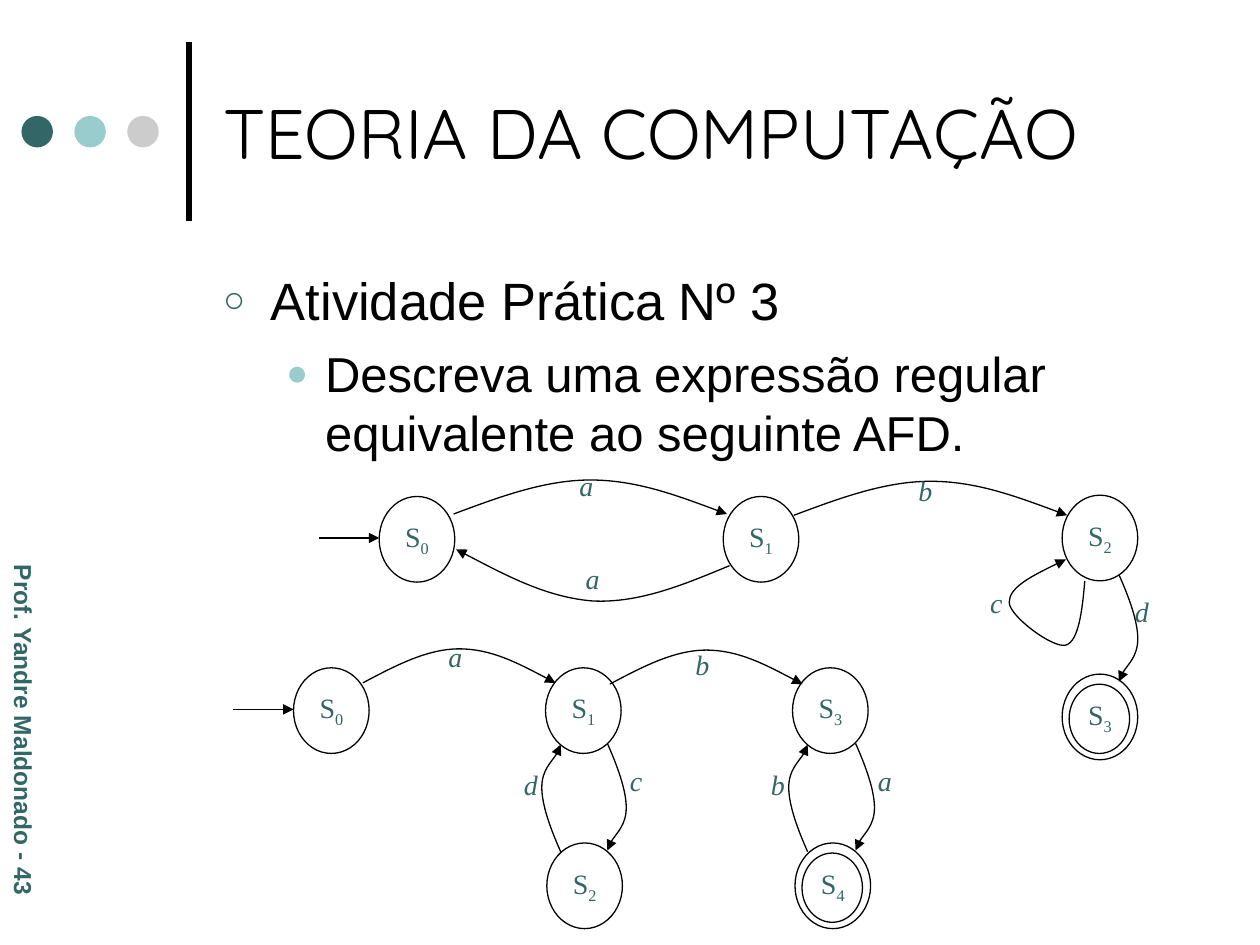
from lxml.etree import SubElement as Sub
from pptx import Presentation
from pptx.dml.color import RGBColor as Rgb
from pptx.enum.shapes import MSO_CONNECTOR as Conn, MSO_SHAPE as Kind
from pptx.enum.text import MSO_ANCHOR as Anchor, MSO_AUTO_SIZE as Auto, PP_ALIGN as Align
from pptx.oxml.ns import qn
from pptx.util import Emu, Inches, Pt

WIDE, HIGH = Inches(10), Inches(7.5)
COLS = 100
INK, TEAL, AQUA, GRAY, WHITE = "000000", "336666", "99CCCC", "CCCCCC", "FFFFFF"
SERIF = "Times New Roman"
NODE_W, NODE_H = 6, 6.8
DROP = [(0, 0), (0.8, 1.8), (1.5, 3.7), (1.5, 5.1), (1.5, 6.5), (0, 7.9), (0, 8.5)]
LOOP = [(86.1, 46.1), (85.9, 48.5), (85.6, 50.9), (84.6, 51.2), (83.6, 51.5),
        (80.1, 48.9), (80.1, 47.8), (80.1, 46.6), (82.3, 45.5), (84.6, 44.4)]
BACK = [(57.9, 44.9), (54.3, 46.4), (50.7, 47.9), (47, 47.7),
        (43.4, 47.4), (39.8, 45.5), (36.2, 43.6)]
DOTS = [TEAL, AQUA, GRAY]
NODES = [("0", 30.1, 39.4), ("1", 57.4, 39.4), ("2", 84.3, 39.3), ("3", 84.3, 53.5),
         ("0", 23.3, 53), ("1", 43.3, 53), ("3", 62.9, 53), ("2", 43.4, 66.9), ("4", 63.1, 66.9)]
FINALS = [(84.3, 53.5), (63.1, 66.9)]
STARTS = [(25.3, 42.7), (18.5, 56.3)]
ARCS = [(36, 40.8, 21.7), (63, 40.9, 21.7), (28.8, 54.2, 15.3), (48.4, 54.3, 15.3)]
DOWNS = [(88.8, 45.6), (67.9, 59), (48.2, 59)]
UPS = [(44.5, 67.6), (64.1, 67.6)]
LABELS = [("b", 71.9, 37.1), ("a", 45.5, 44.1), ("a", 45, 36.7), ("c", 77.6, 46),
          ("d", 89.1, 46.7), ("a", 34.6, 50.3), ("a", 68.7, 60.1), ("b", 54.2, 50.9),
          ("c", 49, 60.1), ("d", 40.6, 60.4), ("b", 60.2, 60.4)]


def cell(num):
    return Emu(round(num * WIDE / COLS))


def hue(code):
    return Rgb.from_string(code)


def style(run, size, face, code, bold=False, slant=False):
    font = run.font
    font.size, font.name = Pt(size), face
    font.bold, font.italic = bold, slant
    font.color.rgb = hue(code)


def place(shape, *box):
    shape.left, shape.top, shape.width, shape.height = map(cell, box)


def stroke(shape, weight=0.75, head=False):
    shape.line.color.rgb = hue(INK)
    shape.line.width = Pt(weight)
    if head:
        Sub(shape.line._get_or_add_ln(), qn("a:tailEnd"), type="triangle")


def oval(slide, box, code=None, edge=True):
    shape = slide.shapes.add_shape(Kind.OVAL, *map(cell, box))
    shape.shadow.inherit = False
    if code:
        shape.fill.solid()
        shape.fill.fore_color.rgb = hue(code)
    else:
        shape.fill.background()
    if edge:
        stroke(shape)
    else:
        shape.line.fill.background()


def line(slide, start, end, weight=0.75, head=False):
    ends = map(cell, start + end)
    link = slide.shapes.add_connector(Conn.STRAIGHT, *ends)
    stroke(link, weight, head)
    Sub(link._element.spPr, qn("a:effectLst"))


def curve(slide, points):
    first, *rest = [(cell(x), cell(y)) for x, y in points]
    pen = slide.shapes.build_freeform(*first)
    pen.add_line_segments(rest, close=False)
    shape = pen.convert_to_shape()
    shape.shadow.inherit = False
    shape.fill.background()
    stroke(shape, head=True)
    track = next(shape._element.iter(qn("a:path")))
    steps = track.findall(qn("a:lnTo"))
    for i in range(0, len(steps), 3):
        bend = Sub(track, qn("a:cubicBezTo"))
        for step in steps[i:i + 3]:
            bend.append(step[0])
            track.remove(step)


def arch(x, y, width, rise=2.7):
    lifts = [0, 0.5, 1, 1, 1, 0.5, 0]
    return [(x + width * i / 6, y - rise * lift) for i, lift in enumerate(lifts)]


def swing(x, y, sign):
    return [(x + sign * dx, y + sign * dy) for dx, dy in DROP]


def words(slide, text, box, size=16, face=SERIF, **look):
    shape = slide.shapes.add_textbox(*map(cell, box))
    frame = shape.text_frame
    frame.word_wrap = True
    frame.text = text
    style(frame.paragraphs[0].runs[0], size, face, TEAL, **look)
    return shape


def node(slide, num, x, y):
    oval(slide, (x, y, NODE_W, NODE_H), WHITE)
    para = words(slide, "S", (x, y + 1.35, NODE_W, 4.1)).text_frame.paragraphs[0]
    para.alignment = Align.CENTER
    run = para.add_run()
    run.text = num
    style(run, 16, SERIF, TEAL)
    run.font._element.set("baseline", "-25000")


def bullet(para, mark, code, share, left, hang, gap, size):
    para.space_before = Pt(gap)
    props = para._p.get_or_add_pPr()
    props.set("marL", str(cell(left)))
    props.set("indent", str(cell(-hang)))
    Sub(Sub(props, qn("a:buClr")), qn("a:srgbClr"), val=code)
    Sub(props, qn("a:buSzPct"), val=str(share * 1000))
    Sub(props, qn("a:buFont"), typeface="Arial")
    Sub(props, qn("a:buChar"), char=mark)
    style(para.runs[0], size, "Arial", INK)


def title(slide):
    shape = slide.shapes.title
    place(shape, 16.7, 2.1, 76.7, 16.7)
    frame = shape.text_frame
    frame.text = "TEORIA DA COMPUTAÇÃO"
    frame.auto_size = Auto.NONE
    frame.vertical_anchor = Anchor.MIDDLE
    para = frame.paragraphs[0]
    para.alignment = Align.LEFT
    style(para.runs[0], 40, "Quicksand", INK)


def body(slide):
    shape = slide.placeholders[1]
    place(shape, 16.7, 20.8, 76.7, 45)
    frame = shape.text_frame
    frame.text = "Atividade Prática Nº 3"
    frame.auto_size = Auto.NONE
    bullet(frame.paragraphs[0], "○", TEAL, 70, 3.8, 3.8, 7.5, 30)
    para = frame.add_paragraph()
    para.text = "Descreva uma expressão regular equivalente ao seguinte AFD."
    para.level = 1
    bullet(para, "●", AQUA, 75, 8.1, 3.1, 7, 28)


def frame_art(slide):
    line(slide, (15, 17.5), (15, 3.3), 3)
    for i, code in enumerate(DOTS):
        oval(slide, (1.7 + 4.2 * i, 9.2, 2.5, 2.5), code, edge=False)
    side = words(slide, "Prof. Yandre Maldonado - 43", (-13.5, 57.5, 30.7, 3.4),
                 14, "Arial", bold=True)
    side.rotation = 90


def graph(slide):
    for spot in NODES:
        node(slide, *spot)
    for x, y in FINALS:
        oval(slide, (x + 0.55, y + 0.8, 4.8, 5.5))
    for x, y in STARTS:
        line(slide, (x, y), (x + 4.8, y), head=True)
    tracks = [arch(*arc) for arc in ARCS] + [BACK, LOOP]
    tracks += [swing(x, y, 1) for x, y in DOWNS]
    tracks += [swing(x, y, -1) for x, y in UPS]
    for track in tracks:
        curve(slide, track)
    for text, x, y in LABELS:
        words(slide, text, (x, y, 3.6, 4.1), slant=True)


def main():
    deck = Presentation()
    deck.slide_width, deck.slide_height = WIDE, HIGH
    slide = deck.slides.add_slide(deck.slide_layouts[1])
    frame_art(slide)
    title(slide)
    body(slide)
    graph(slide)
    deck.save("out.pptx")


if __name__ == "__main__":
    main()
